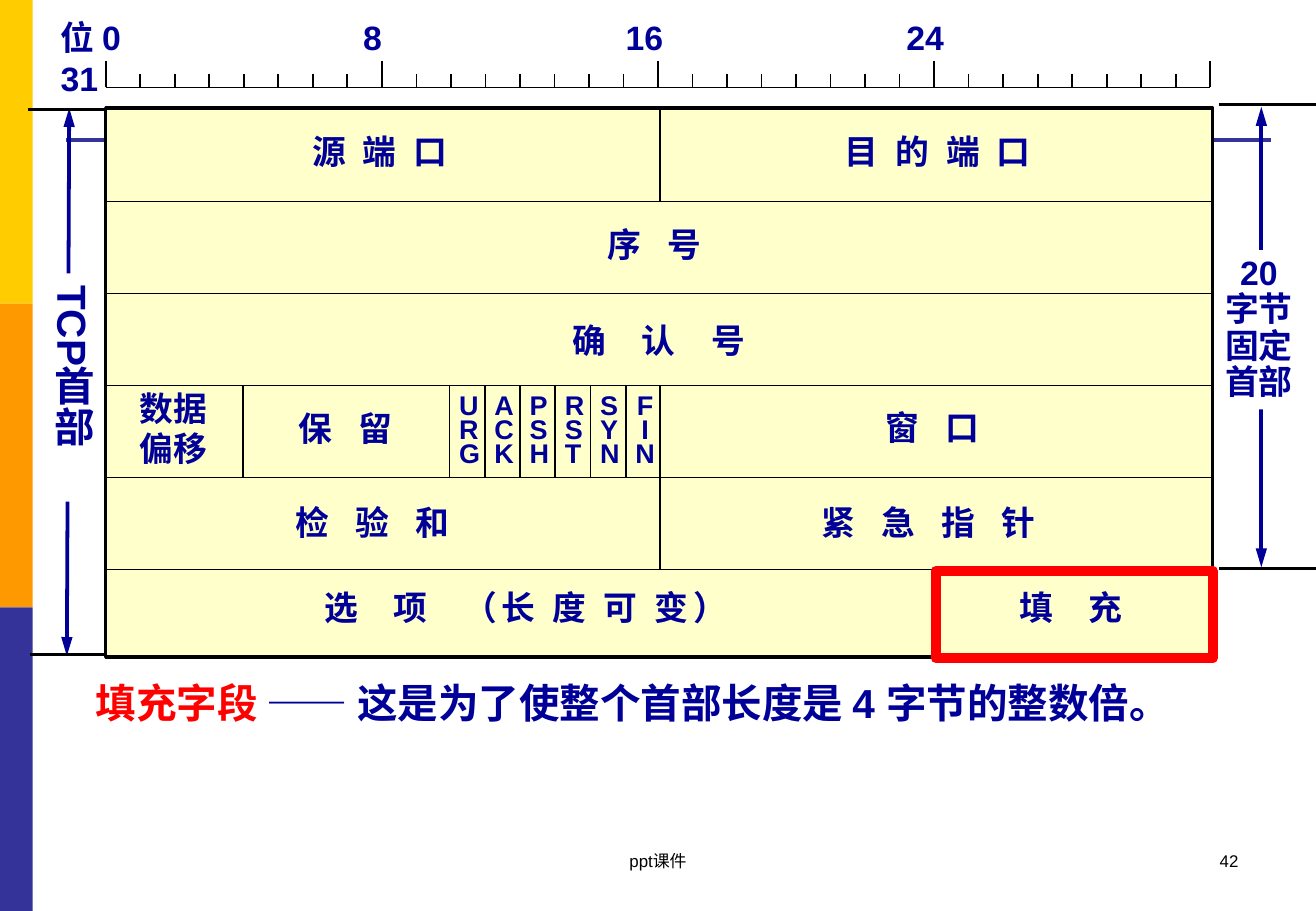
from dataclasses import dataclass

from lxml.etree import SubElement
from pptx import Presentation
from pptx.dml.color import RGBColor
from pptx.enum.shapes import MSO_CONNECTOR, MSO_SHAPE
from pptx.enum.text import MSO_ANCHOR, PP_ALIGN
from pptx.oxml.ns import qn
from pptx.util import Inches, Pt


@dataclass(frozen=True)
class Theme:
    font: str = "Arial"
    ink: str = "000099"
    rule: str = "333399"
    black: str = "000000"
    white: str = "FFFFFF"
    red: str = "FF0000"
    cell: str = "FFFFCC"
    bands: tuple = ("FFCC00", "FF9900", "333399")
    large: int = 24
    body: int = 20
    flag: int = 16
    small: int = 10


T = Theme()
LEFT, RIGHT, MIDDLE = 0.87, 9.98, 5.43
ROW_TOP, ROW_STEP = 1.66, 0.757
NARROW, MEDIUM, WIDE = 2.78, 5.56, 8.34


def write(tf, paragraphs, size=T.body, color=T.ink, bold=True, align=PP_ALIGN.LEFT,
          spacing=None, gap=0, anchor=MSO_ANCHOR.TOP, wrap=True, tabs=()):
    """Fill a text frame with paragraphs of strings or (text, overrides) runs."""
    tf.word_wrap, tf.vertical_anchor = wrap, anchor
    for i, runs in enumerate(paragraphs):
        p = tf.paragraphs[0] if i == 0 else tf.add_paragraph()
        if tabs and i == 0:
            stops = SubElement(p._p.get_or_add_pPr(), qn("a:tabLst"))
            for pos in tabs:
                SubElement(stops, qn("a:tab"), pos=str(Inches(pos)), algn="l")
        p.alignment = align
        if spacing:
            p.line_spacing = spacing
        for text, fmt in [(runs, {})] if isinstance(runs, str) else runs:
            r = p.add_run()
            r.text = text
            r.font.name, r.font.size, r.font.bold = T.font, Pt(size), bold
            r.font.color.rgb = RGBColor.from_string(fmt.get("color", color))
            run_gap = fmt.get("gap", gap)
            if run_gap:
                r._r.get_or_add_rPr().set("spc", str(round(run_gap * 100)))


class Board:
    """Draws styled elements on the current slide."""

    def __init__(self, slide):
        self.shapes = slide.shapes

    def rect(self, x, y, w, h, fill=None, line=None, width=1):
        sp = self.shapes.add_shape(MSO_SHAPE.RECTANGLE, *map(Inches, (x, y, w, h)))
        sp.shadow.inherit = False
        if fill:
            sp.fill.solid()
            sp.fill.fore_color.rgb = RGBColor.from_string(fill)
        else:
            sp.fill.background()
        if line:
            sp.line.color.rgb = RGBColor.from_string(line)
            sp.line.width = Pt(width)
        else:
            sp.line.fill.background()
        return sp

    def text(self, x, y, w, h, paragraphs, **fmt):
        sp = self.shapes.add_textbox(*map(Inches, (x, y, w, h)))
        write(sp.text_frame, paragraphs, **fmt)

    def line(self, x1, y1, x2, y2, color=T.black, width=1.0, arrows=False):
        cx = self.shapes.add_connector(MSO_CONNECTOR.STRAIGHT, *map(Inches, (x1, y1, x2, y2)))
        cx.line.color.rgb = RGBColor.from_string(color)
        cx.line.width = Pt(width)
        if arrows:
            ln = cx.line._get_or_add_ln()
            for end in ("a:headEnd", "a:tailEnd"):
                SubElement(ln, qn(end), type="triangle", w="med", len="lg")
        SubElement(cx._element.spPr, qn("a:effectLst"))


def draw_background(b):
    for i, color in enumerate(T.bands):
        b.rect(0, i * 2.5, 0.27, 2.5, fill=color)
    b.line(0.54, 1.15, 10.46, 1.15, T.rule, 2.25)


def draw_brackets(b):
    b.line(0.57, 0.89, 0.55, 5.4, T.ink, 2.25, arrows=True)
    header = b.rect(0.3, 2.25, 0.56, 1.88, fill=T.white)
    write(header.text_frame, ["TCP首部"], size=T.large, spacing=0.9, anchor=MSO_ANCHOR.MIDDLE)
    header.text_frame._txBody.bodyPr.set("vert", "eaVert")
    b.line(10.38, 0.88, 10.38, 4.67, T.ink, 2.25, arrows=True)
    fixed = b.rect(9.98, 2.06, 0.76, 1.31, fill=T.white)
    write(fixed.text_frame, ["20", "字节", "固定", "首部"], align=PP_ALIGN.CENTER,
          spacing=0.9, wrap=False)
    for x1, x2, y in ((10.03, 10.83, 0.86), (10.03, 10.83, 4.68),
                      (0.23, 0.86, 0.9), (0.25, 0.88, 5.39)):
        b.line(x1, y, x2, y, width=1.5)


def draw_header_grid(b):
    b.rect(LEFT, 0.89, RIGHT - LEFT, 4.52, fill=T.cell, line=T.black, width=2)
    rows = [ROW_TOP + i * ROW_STEP for i in range(5)]
    for y in rows:
        b.line(LEFT, y, RIGHT, y)
    b.line(MIDDLE, 0.9, MIDDLE, rows[0])
    b.line(MIDDLE, rows[2], MIDDLE, rows[4])
    b.line(2, rows[2], 2, rows[3])
    for i, flag in enumerate(("URG", "ACK", "PSH", "RST", "SYN", "FIN")):
        x = 3.7 + i * 0.29
        b.line(x, rows[2], x, rows[3])
        b.text(x - 0.02, 3.21, 0.36, 0.7, list(flag), size=T.flag, spacing=0.75, wrap=False,
               align=PP_ALIGN.CENTER if flag == "FIN" else PP_ALIGN.LEFT)


def draw_field_names(b):
    fields = (
        (2.47, 1.03, 1.36, "源 端 口", NARROW, False),
        (6.85, 1.03, 1.79, "目 的 端 口", NARROW, False),
        (4.9, 1.79, 1.64, "序 号", MEDIUM, True),
        (4.61, 2.58, 2.18, "确 认 号", WIDE, True),
        (2.36, 3.31, 1, "保 留", MEDIUM, False),
        (7.19, 3.3, 1, "窗 口", MEDIUM, False),
        (2.33, 4.08, 1.51, "检 验 和", MEDIUM, False),
        (6.66, 4.08, 2.02, "紧 急 指 针", MEDIUM, False),
        (8.29, 4.78, 1.49, "填 充", WIDE, True),
    )
    for x, y, w, name, gap, wrap in fields:
        b.text(x, y, w, 0.43, [name], gap=gap, wrap=wrap)
    b.text(1.05, 3.14, 0.76, 0.77, ["数据", "偏移"], wrap=False)
    b.text(2.57, 4.78, 3.79, 0.43,
           [[("选 项 ", {"gap": WIDE}), ("（长 度 可 变）", {"gap": NARROW})]])


def draw_bit_ruler(b):
    end, base = 9.96, 0.72
    b.line(LEFT, base, end, base)
    for bit in range(33):
        x = LEFT + bit * (end - LEFT) / 32
        b.line(x, 0.61 if bit % 8 else 0.5, x, base)
    b.text(0.4, 0.09, 9.75, 0.77, ["位 0\t8\t16\t24", "31"], tabs=(2.49, 4.65, 6.96))


def main():
    prs = Presentation()
    prs.slide_width, prs.slide_height = Inches(10.83), Inches(7.5)
    b = Board(prs.slides.add_slide(prs.slide_layouts[6]))
    draw_background(b)
    b.text(0.69, 5.53, 9.67, 0.5,
           [[("填充字段 ", {"color": T.red}), ("—— 这是为了使整个首部长度是 4 字节的整数倍。", {})]],
           size=T.large, anchor=MSO_ANCHOR.BOTTOM)
    draw_brackets(b)
    draw_header_grid(b)
    draw_field_names(b)
    draw_bit_ruler(b)
    b.rect(7.7, 4.7, 2.28, 0.72, line=T.red, width=6)
    footer = {"size": T.small, "color": T.black, "bold": False}
    b.text(7.76, 6.95, 2.53, 0.5, ["42"], align=PP_ALIGN.RIGHT, **footer)
    b.text(3.7, 6.95, 3.43, 0.5, ["ppt课件"], align=PP_ALIGN.CENTER, **footer)
    prs.save("out.pptx")


if __name__ == "__main__":
    main()
